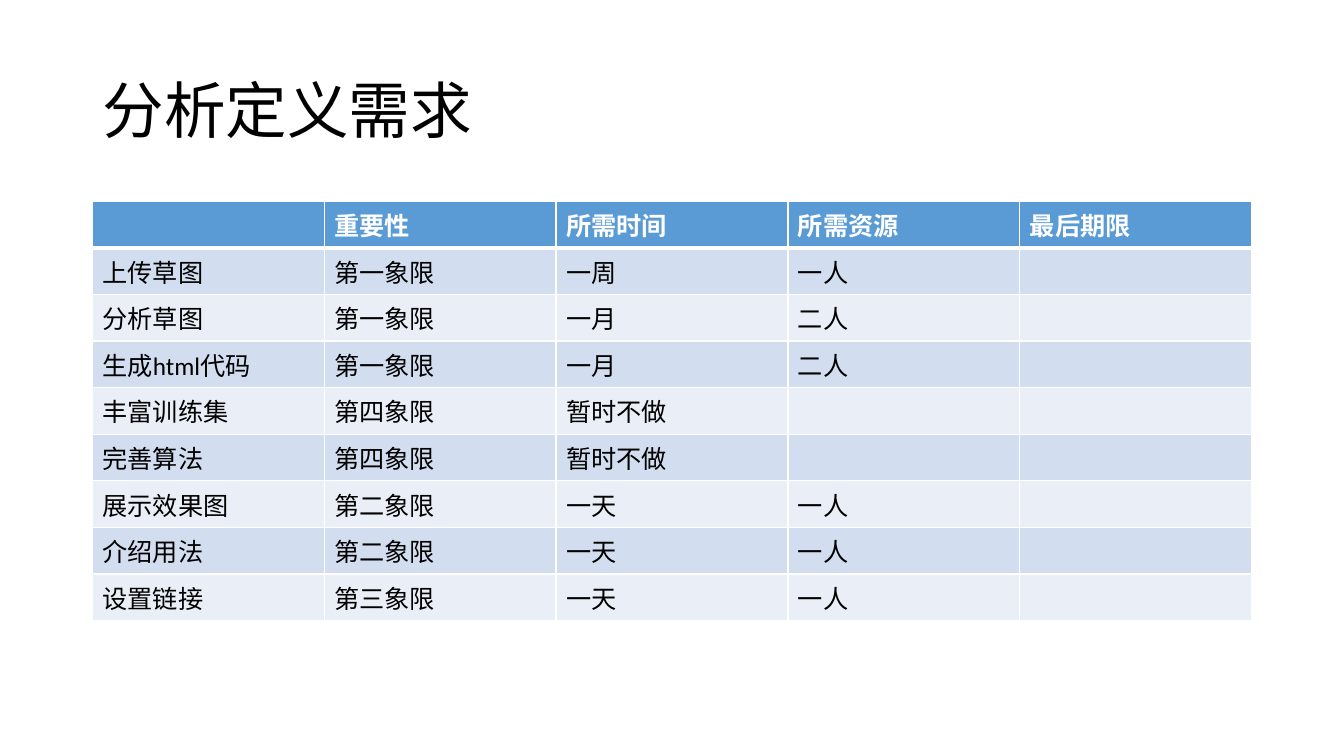
from lxml import etree
from pptx import Presentation
from pptx import util as u
from pptx.dml.color import RGBColor
from pptx.enum import text
from pptx.oxml.ns import qn

BLACK = RGBColor(0x00, 0x00, 0x00)
WHITE = RGBColor(0xFF, 0xFF, 0xFF)
HEADER_BLUE = RGBColor(0x5B, 0x9B, 0xD5)
BAND_FILLS = (RGBColor(0xD2, 0xDE, 0xEF), RGBColor(0xEA, 0xEF, 0xF7))

TITLE = "分析定义需求"
REQUIREMENTS = (
    ("", "重要性", "所需时间", "所需资源", "最后期限"),
    ("上传草图", "第一象限", "一周", "一人", ""),
    ("分析草图", "第一象限", "一月", "二人", ""),
    ("生成html代码", "第一象限", "一月", "二人", ""),
    ("丰富训练集", "第四象限", "暂时不做", "", ""),
    ("完善算法", "第四象限", "暂时不做", "", ""),
    ("展示效果图", "第二象限", "一天", "一人", ""),
    ("介绍用法", "第二象限", "一天", "一人", ""),
    ("设置链接", "第三象限", "一天", "一人", ""),
)


class SlideBuilder:
    """Holds the style and the current slide."""

    font_name = "Calibri"
    title_size = u.Pt(44)
    body_size = u.Pt(18)
    thin_border = u.Pt(1)
    header_border = u.Pt(3)

    def __init__(self, slide):
        """Keep the slide to draw on."""
        self.slide = slide

    def style(self, paragraph, size, color, bold=False):
        """Set the font of a whole paragraph."""
        font = paragraph.font
        font.name, font.size, font.bold = self.font_name, size, bold
        font.color.rgb = color

    def title(self, wording, left, top, width, height):
        """Place and format the title placeholder."""
        shape = self.slide.shapes.title
        shape.left, shape.top, shape.width, shape.height = left, top, width, height
        frame = shape.text_frame
        frame.text = wording
        frame.auto_size = text.MSO_AUTO_SIZE.NONE
        frame.vertical_anchor = text.MSO_ANCHOR.MIDDLE
        paragraph = frame.paragraphs[0]
        paragraph.alignment = text.PP_ALIGN.LEFT
        paragraph.line_spacing = 0.9
        self.style(paragraph, self.title_size, BLACK)

    def border(self, cell, side, width):
        """Draw a white border on one side (L, R, T or B) of a cell."""
        properties = cell._tc.get_or_add_tcPr()
        line = etree.SubElement(properties, qn(f"a:ln{side}"), w=str(width))
        fill = etree.SubElement(line, qn("a:solidFill"))
        etree.SubElement(fill, qn("a:srgbClr"), val=str(WHITE))

    def cell(self, cell, wording, row):
        """Fill one cell, styled by its row number."""
        header = row == 0
        thick_side = {0: "B", 1: "T"}.get(row)
        for side in "LRTB":
            width = self.header_border if side == thick_side else self.thin_border
            self.border(cell, side, width)
        cell.fill.solid()
        cell.fill.fore_color.rgb = HEADER_BLUE if header else BAND_FILLS[(row - 1) % 2]
        cell.text = wording
        color = WHITE if header else BLACK
        self.style(cell.text_frame.paragraphs[0], self.body_size, color, header)

    def table(self, rows, left, top, width, height):
        """Add a banded table with equal rows and columns."""
        frame = self.slide.shapes.add_table(
            len(rows), len(rows[0]), left, top, width, height)
        for row, wordings in enumerate(rows):
            for column, wording in enumerate(wordings):
                self.cell(frame.table.cell(row, column), wording, row)


def main():
    """Build the requirements slide and save it."""
    presentation = Presentation()
    presentation.slide_width = u.Cm(33.87)
    presentation.slide_height = u.Cm(19.05)
    title_only = presentation.slide_layouts[5]
    builder = SlideBuilder(presentation.slides.add_slide(title_only))
    left, width = u.Cm(2.33), u.Cm(29.21)
    builder.title(TITLE, left, u.Cm(1.01), width, u.Cm(3.68))
    builder.table(REQUIREMENTS, left, u.Cm(5.07), width, u.Cm(9.53))
    presentation.save("out.pptx")


main()
